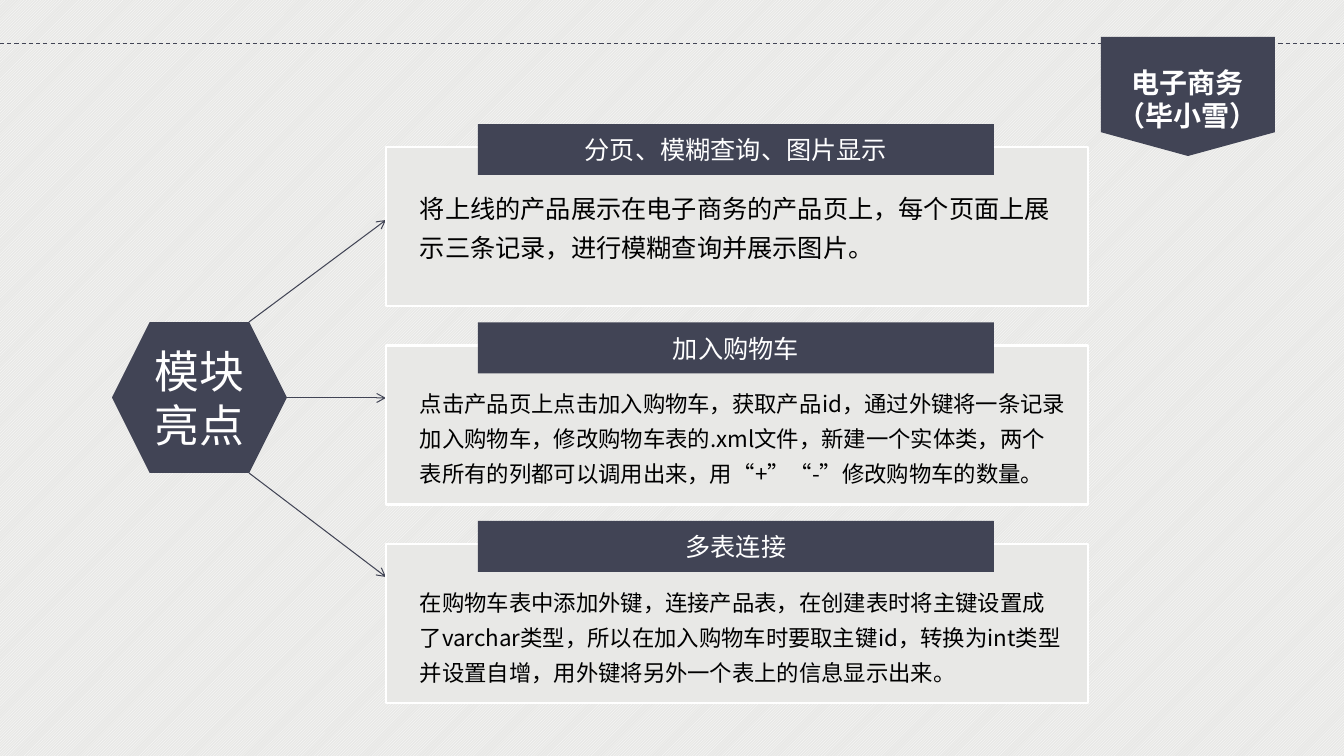
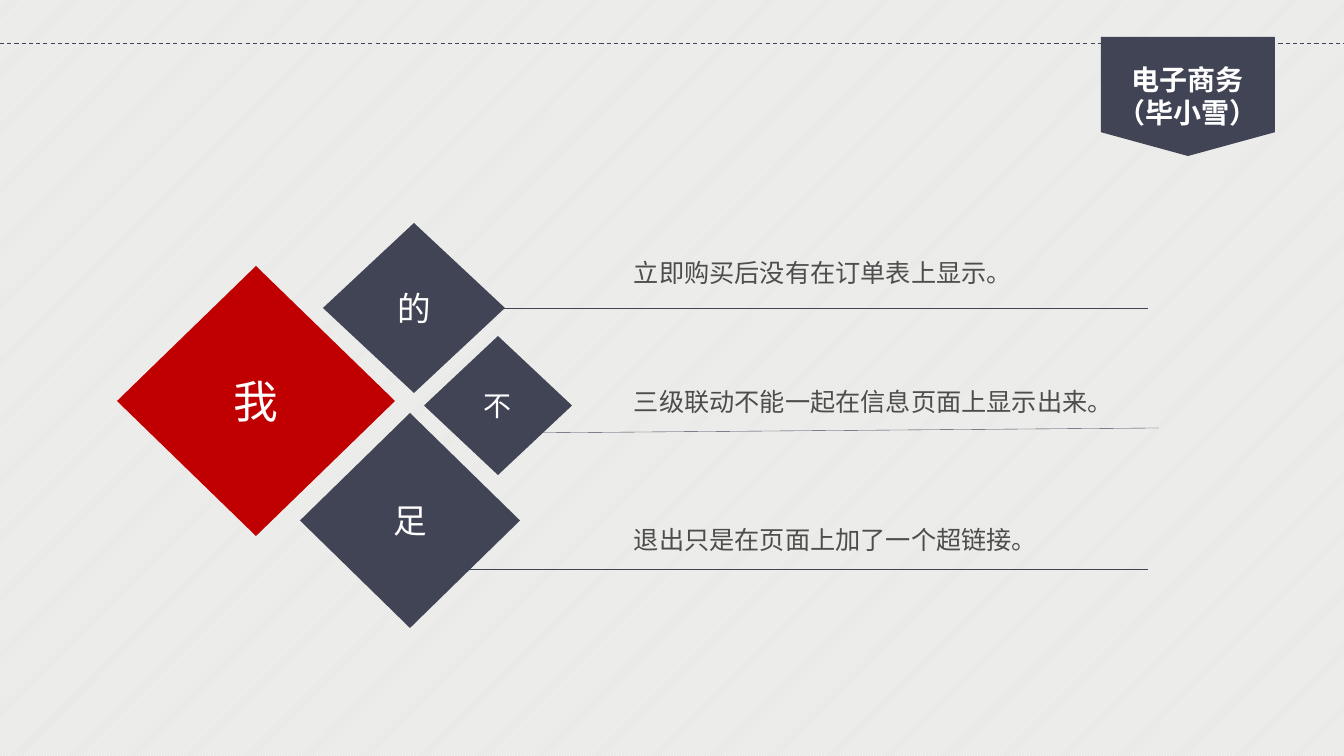
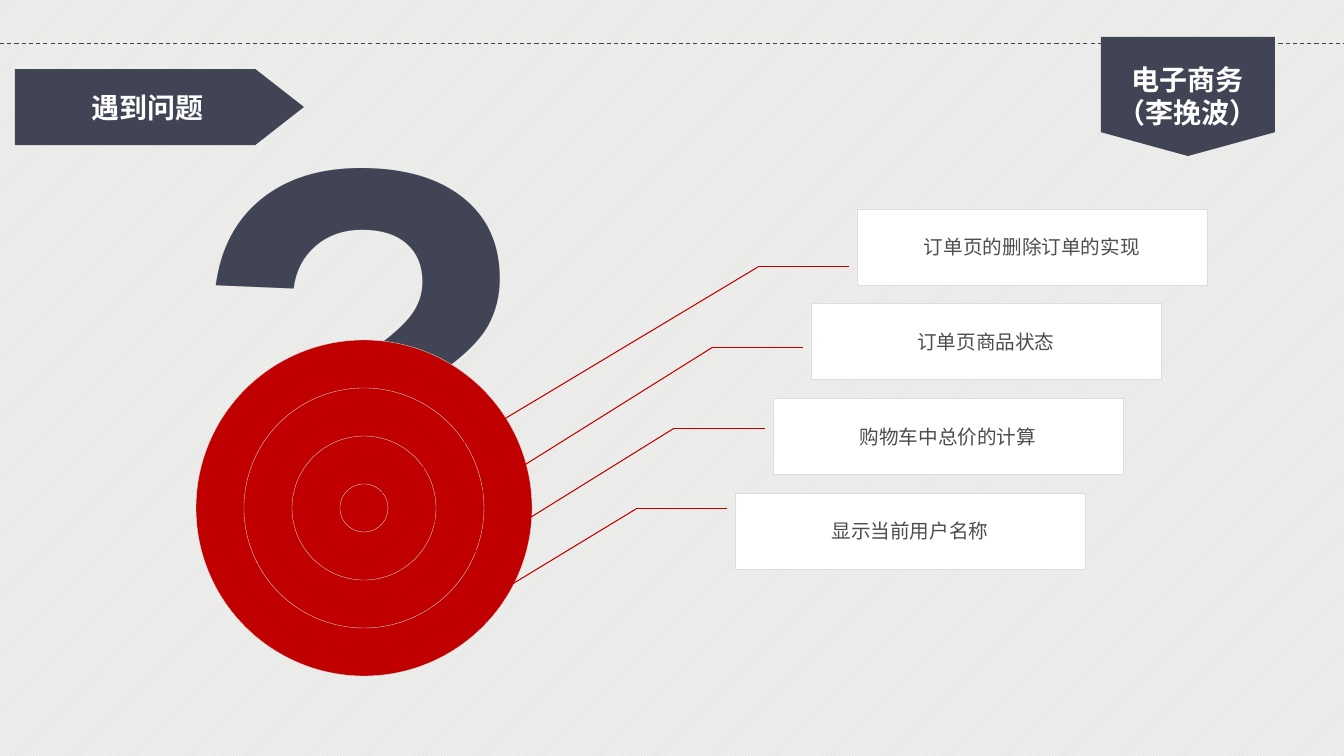
from dataclasses import dataclass

from lxml.etree import SubElement
from pptx import Presentation
from pptx.dml.color import RGBColor
from pptx.enum.dml import MSO_LINE, MSO_PATTERN
from pptx.enum.lang import MSO_LANGUAGE_ID
from pptx.enum.shapes import MSO_CONNECTOR, MSO_SHAPE
from pptx.enum.text import MSO_ANCHOR, MSO_AUTO_SIZE, PP_ALIGN
from pptx.oxml.ns import qn
from pptx.util import Emu, Pt

WIDTH, HEIGHT = 1344, 756
EMU_PER_PX = 12192000 / WIDTH


@dataclass(frozen=True)
class Theme:
    navy: str = "414455"
    red: str = "C00000"
    paper: str = "E8E8E6"
    white: str = "FFFFFF"
    black: str = "000000"
    gray: str = "4D4D4D"
    ring: str = "D7D7D7"
    border: str = "DDDDDD"
    sans: str = "Noto Sans CJK SC"
    latin: str = "Arial"
    giant: int = 400
    display: int = 32
    large: int = 24
    title: int = 20
    text: int = 18
    small: int = 16
    label: int = 14
    hairline: float = 0.25
    thin: float = 0.75
    thick: float = 2


THEME = Theme()

# Slide 1: heading, body text, body size
CARDS = [
    ("分页、模糊查询、图片显示",
     "将上线的产品展示在电子商务的产品页上，每个页面上展示三条记录，进行模糊查询并展示图片。",
     THEME.text),
    ("加入购物车",
     "点击产品页上点击加入购物车，获取产品id，通过外键将一条记录加入购物车，"
     "修改购物车表的.xml文件，新建一个实体类，两个表所有的列都可以调用出来，"
     "用“+”“-”修改购物车的数量。",
     THEME.small),
    ("多表连接",
     "在购物车表中添加外键，连接产品表，在创建表时将主键设置成了varchar类型，"
     "所以在加入购物车时要取主键id，转换为int类型并设置自增，用外键将另外一个表上的信息显示出来。",
     THEME.small),
]
FIRST_CARD, LAST_CARD = 147, 544
ARROWS = [((249, 322), (386, 220)), ((287, 398), (386, 398)), ((249, 473), (386, 577))]

# Slide 2: character, place, fill, size
DIAMONDS = [
    ("的", (323, 223, 182, 170), THEME.navy, THEME.large),
    ("足", (300, 413, 220, 215), THEME.navy, THEME.large),
    ("我", (117, 266, 278, 270), THEME.red, THEME.display),
    ("不", (424, 336, 148, 139), THEME.navy, THEME.title),
]
# Shortcoming, text top, text width, rule start and end
SHORTCOMINGS = [
    ("立即购买后没有在订单表上显示。", 252, 398, (1148, 308), (498, 308)),
    ("三级联动不能一起在信息页面上显示出来。", 381, 499, (1159, 428), (520, 433)),
    ("退出只是在页面上加了一个超链接。", 519, 423, (1148, 569), (435, 569)),
]

# Slide 3: problem, box left, lower end of its leader line
PROBLEMS = [
    ("订单页的删除订单的实现", 857, (361, 505)),
    ("订单页商品状态", 811, (400, 543)),
    ("购物车中总价的计算", 773, (433, 578)),
    ("显示当前用户名称", 735, (468, 611)),
]
FIRST_BOX, LAST_BOX = 209, 493
FIRST_ELBOW, LAST_ELBOW = 267, 509
TARGET_LEFT, TARGET_TOP, TARGET_SIZE, RING_STEP = 196, 340, 336, 48


def px(value):
    return Emu(round(value * EMU_PER_PX))


def rgb(color):
    return RGBColor.from_string(color)


def spread(first, last, count):
    """Return count evenly spaced positions from first to last."""
    return [first + (last - first) * index / (count - 1) for index in range(count)]


def assign(target, values):
    for name, value in values.items():
        setattr(target, name, value)


def write(box, lines, size, color=THEME.white, face=THEME.sans, bold=False,
          align=PP_ALIGN.CENTER, spacing=None, **frame_values):
    frame = box.text_frame
    assign(frame, {"word_wrap": True, "vertical_anchor": MSO_ANCHOR.MIDDLE, **frame_values})
    for index, line in enumerate(lines):
        para = frame.add_paragraph() if index else frame.paragraphs[0]
        assign(para, {"alignment": align, "line_spacing": spacing})
        span = para.add_run()
        span.text = line
        assign(span.font, {"name": face, "size": Pt(size), "bold": bold,
                           "language_id": MSO_LANGUAGE_ID.SIMPLIFIED_CHINESE})
        span.font.color.rgb = rgb(color)
        SubElement(span.font._element, qn("a:ea"), typeface=THEME.sans)


def add_block(page, kind, place, fill, line=None, weight=THEME.hairline):
    block = page.shapes.add_shape(kind, *map(px, place))
    block.shadow.inherit = False
    block.fill.solid()
    block.fill.fore_color.rgb = rgb(fill)
    if line:
        block.line.color.rgb = rgb(line)
        block.line.width = Pt(weight)
    else:
        block.line.fill.background()
    return block


def add_text(page, place, lines, size, **values):
    box = page.shapes.add_textbox(*map(px, place))
    grow = {"vertical_anchor": MSO_ANCHOR.TOP, "auto_size": MSO_AUTO_SIZE.SHAPE_TO_FIT_TEXT}
    write(box, lines, size, **{"align": PP_ALIGN.LEFT, **grow, **values})


def add_line(page, start, end, color=THEME.navy, weight=THEME.thin, dash=None, arrow=False):
    line = page.shapes.add_connector(MSO_CONNECTOR.STRAIGHT, *map(px, (*start, *end)))
    line.line.color.rgb = rgb(color)
    line.line.width = Pt(weight)
    if dash:
        line.line.dash_style = dash
    if arrow:
        SubElement(line.line._get_or_add_ln(), qn("a:tailEnd"), type="arrow")
    SubElement(line._element.spPr, qn("a:effectLst"))


def add_page(deck, title_lines, title_top=57):
    """Add a slide with the dashed rule and the title on its flag."""
    page = deck.slides.add_slide(deck.slide_layouts[5])
    add_line(page, (0, 44), (WIDTH, 44), dash=MSO_LINE.DASH)
    add_block(page, MSO_SHAPE.FLOWCHART_OFFPAGE_CONNECTOR, (1101, 37, 174, 119), THEME.navy)
    title = page.shapes.title
    assign(title, {"left": px(1103), "top": px(title_top), "width": px(170), "height": px(78)})
    write(title, title_lines, THEME.title, bold=True, vertical_anchor=MSO_ANCHOR.TOP,
          auto_size=MSO_AUTO_SIZE.SHAPE_TO_FIT_TEXT)
    page.shapes.element.append(title.element)
    return page


def build_highlights(deck):
    page = add_page(deck, ["电子商务", "（毕小雪）"], title_top=60)
    hexagon = add_block(page, MSO_SHAPE.HEXAGON, (112, 322, 175, 151), THEME.navy)
    write(hexagon, ["模块亮点"], THEME.display)
    for start, end in ARROWS:
        add_line(page, start, end, arrow=True)
    tops = spread(FIRST_CARD, LAST_CARD, len(CARDS))
    for top, (heading, body, size) in zip(tops, CARDS):
        add_block(page, MSO_SHAPE.RECTANGLE, (386, top, 702, 159),
                  THEME.paper, THEME.white, THEME.thick)
        header = add_block(page, MSO_SHAPE.RECTANGLE, (478, top - 23, 516, 51), THEME.navy)
        write(header, [heading], THEME.text)
        add_text(page, (410, top + 32, 666, 116), [body], size, color=THEME.black, spacing=1.3)


def build_shortcomings(deck):
    page = add_page(deck, ["电子商务", "（毕小雪）"])
    for sentence, top, width, start, end in SHORTCOMINGS:
        add_line(page, start, end, weight=THEME.hairline)
        add_text(page, (624, top, width, 40), [sentence], THEME.text,
                 color=THEME.gray, word_wrap=False)
    for character, place, fill, size in DIAMONDS:
        diamond = add_block(page, MSO_SHAPE.FLOWCHART_DECISION, place, fill)
        write(diamond, [character], size, face=THEME.latin)


def build_problems(deck):
    page = add_page(deck, ["电子商务（李挽波）"])
    add_text(page, (181, -8, 366, 688), ["?"], THEME.giant, color=THEME.navy, face=THEME.latin,
             bold=True, word_wrap=False, vertical_anchor=MSO_ANCHOR.MIDDLE)
    for inset in range(0, TARGET_SIZE // 2, RING_STEP):
        size = TARGET_SIZE - 2 * inset
        add_block(page, MSO_SHAPE.OVAL, (TARGET_LEFT + inset, TARGET_TOP + inset, size, size),
                  THEME.red, THEME.ring)
    tops = spread(FIRST_BOX, LAST_BOX, len(PROBLEMS))
    elbows = spread(FIRST_ELBOW, LAST_ELBOW, len(PROBLEMS))
    for top, elbow_y, (problem, left, foot) in zip(tops, elbows, PROBLEMS):
        elbow = (left - 99, elbow_y)
        add_line(page, elbow, (left - 8, elbow_y), THEME.red)
        add_line(page, elbow, foot, THEME.red)
        box = add_block(page, MSO_SHAPE.RECTANGLE, (left, top, 350, 76),
                        THEME.white, THEME.border)
        write(box, [problem], THEME.label, color=THEME.gray,
              margin_left=0, margin_top=0, margin_right=0, margin_bottom=0)
    tag = add_block(page, MSO_SHAPE.PENTAGON, (15, 69, 289, 76), THEME.navy)
    tag.adjustments[0] = 0.64
    write(tag, ["遇到问题"], THEME.title, bold=True, word_wrap=False)


def main():
    deck = Presentation()
    assign(deck, {"slide_width": px(WIDTH), "slide_height": px(HEIGHT)})
    backdrop = deck.slide_master.background.fill
    backdrop.patterned()
    backdrop.pattern = MSO_PATTERN.LIGHT_UPWARD_DIAGONAL
    backdrop.fore_color.rgb = rgb(THEME.white)
    backdrop.back_color.rgb = rgb(THEME.paper)
    for build in (build_highlights, build_shortcomings, build_problems):
        build(deck)
    deck.save("out.pptx")


if __name__ == "__main__":
    main()
